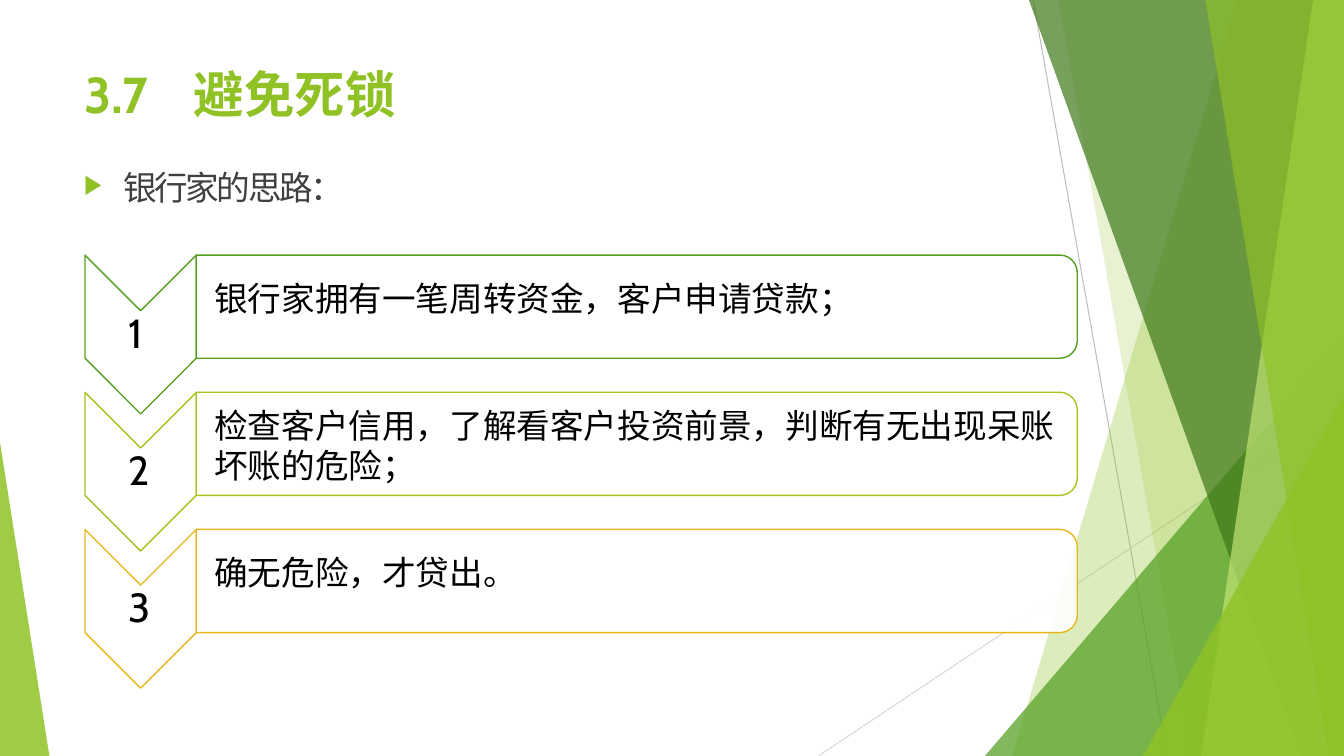
import pptx
import pptx.dml.color
import pptx.enum.shapes
import pptx.enum.text
import pptx.oxml
import pptx.oxml.ns
import pptx.util

Pt = pptx.util.Pt
qn = pptx.oxml.ns.qn
SHAPES = pptx.enum.shapes.MSO_SHAPE

WIDTH, HEIGHT = 960, 540
COLORS = {
    "leaf": "90C225", "green": "539F20", "forest": "3E7818", "pale": "C0E374",
    "lime": "A4C41F", "amber": "E6B81E", "silver": "BEBEBE", "mist": "D9D9D9",
    "text": "404040", "black": "000000", "white": "FFFFFF",
}
LATIN, CHINESE = "Cabin", "Noto Sans CJK SC"

# Corner points, colour, opacity in percent
FACETS = [
    ([(960, 0), (884, 0), (723, 540), (960, 540)], "leaf", 30),
    ([(960, 0), (756, 0), (851, 540), (960, 540)], "leaf", 20),
    ([(960, 240), (703.5, 540), (960, 540)], "green", 72),
    ([(960, 0), (735, 0), (929.5, 540), (960, 540)], "forest", 70),
    ([(960, 0), (938, 0), (858, 540), (960, 540)], "pale", 70),
    ([(960, 0), (861, 0), (949, 540), (960, 540)], "leaf", 65),
    ([(960, 283), (816.5, 540), (960, 540)], "leaf", 80),
    ([(0, 316), (0, 540), (35.3, 540)], "leaf", 85),
]
RAYS = [((738, 0), (833.8, 540), "silver"), ((960, 290), (584.6, 540), "mist")]

# Text, outline colour, text offset from the row's top, exact line spacing
STEPS = [
    ("银行家拥有一笔周转资金，客户申请贷款；", "green", 16, None),
    ("检查客户信用，了解看客户投资前景，判断有无出现呆账 坏账的危险；", "lime", 10, 28.1),
    ("确无危险，才贷出。", "amber", 16, None),
]
STEP_TOP, STEP_PITCH, STEP_HEIGHT = 182.2, 98, 73.7
ARROW_LEFT, ARROW_WIDTH, ARROW_HEIGHT = 60.7, 79.5, 113.4
PANEL_LEFT, PANEL_WIDTH = 140.2, 629.3


def rgb(name):
    return pptx.dml.color.RGBColor.from_string(COLORS[name])


def add_xml(parent, tag, **attributes):
    child = parent.makeelement(qn(tag), attributes)
    parent.append(child)
    return child


class SlideBuilder:
    def __init__(self, presentation):
        self.slide = presentation.slides.add_slide(presentation.slide_layouts[5])
        self.shapes = self.slide.shapes

    def paint(self, shape, fill=None, opacity=100, line=None):
        shape.shadow.inherit = False
        if fill:
            shape.fill.solid()
            shape.fill.fore_color.rgb = rgb(fill)
            color = shape._element.spPr.find(qn("a:solidFill"))[0]
            add_xml(color, "a:alpha", val=str(opacity * 1000))
        else:
            shape.fill.background()
        if line:
            shape.line.color.rgb = rgb(line)
            shape.line.width = Pt(1)
        else:
            shape.line.fill.background()

    def polygon(self, points, fill, opacity):
        corners = [(Pt(x), Pt(y)) for x, y in points]
        builder = self.shapes.build_freeform(*corners[0], scale=1.0)
        builder.add_line_segments(corners[1:], close=True)
        self.paint(builder.convert_to_shape(), fill, opacity)

    def ray(self, start, end, color):
        connector = self.shapes.add_connector(
            pptx.enum.shapes.MSO_CONNECTOR.STRAIGHT, *[Pt(v) for v in start + end])
        connector.line.color.rgb = rgb(color)
        connector.line.width = Pt(0.75)
        add_xml(connector._element.spPr, "a:effectLst")

    def turned(self, kind, left, top, width, height, adjustments, **style):
        """Add a preset turned a quarter clockwise; the box is the one seen after turning."""
        shape = self.shapes.add_shape(
            kind, Pt(left + (width - height) / 2), Pt(top + (height - width) / 2),
            Pt(height), Pt(width))
        shape.rotation = 90
        for index, value in enumerate(adjustments):
            shape.adjustments[index] = value
        self.paint(shape, **style)

    def frame(self, shape, left, top, width, height):
        """Place a text shape, clear its margins and return its first paragraph."""
        shape.left, shape.top, shape.width, shape.height = [
            Pt(v) for v in (left, top, width, height)]
        text_frame = shape.text_frame
        text_frame.margin_left = text_frame.margin_right = 0
        text_frame.margin_top = text_frame.margin_bottom = 0
        text_frame.word_wrap = True
        text_frame.auto_size = pptx.enum.text.MSO_AUTO_SIZE.NONE
        text_frame.vertical_anchor = pptx.enum.text.MSO_ANCHOR.TOP
        paragraph = text_frame.paragraphs[0]
        paragraph.alignment = pptx.enum.text.PP_ALIGN.LEFT
        paragraph.space_before = Pt(0)
        return paragraph

    def text_box(self, left, top, width, height):
        box = self.shapes.add_textbox(0, 0, Pt(width), Pt(height))
        return self.frame(box, left, top, width, height)

    def run(self, paragraph, text, size, font, color, bold=False, spacing=0):
        run = paragraph.add_run()
        run.text = text
        run.font.size = Pt(size)
        run.font.bold = bold
        run.font.color.rgb = rgb(color)
        run.font.name = font
        properties = run._r.get_or_add_rPr()
        add_xml(properties, "a:ea", typeface=font)
        if spacing:
            properties.set("spc", str(round(spacing * 100)))

    def title(self, number, text):
        paragraph = self.frame(self.shapes.title, 60, 45, 600, 53)
        tabs = add_xml(paragraph._p.get_or_add_pPr(), "a:tabLst")
        add_xml(tabs, "a:tab", pos=str(Pt(78.5)), algn="l")
        self.run(paragraph, number + "\t", 36, LATIN, "leaf", bold=True)
        self.run(paragraph, text, 36, CHINESE, "leaf", bold=True, spacing=0.1)

    def bullet(self, text):
        paragraph = self.text_box(60, 119, 300, 35)
        properties = paragraph._p.get_or_add_pPr()
        properties.set("marL", str(Pt(28)))
        properties.set("indent", str(-Pt(28)))
        color = add_xml(properties, "a:buClr")
        add_xml(color, "a:srgbClr", val=COLORS["leaf"])
        add_xml(properties, "a:buSzPct", val="80000")
        add_xml(properties, "a:buFont", typeface="Courier New")
        add_xml(properties, "a:buChar", char="▶")
        self.run(paragraph, text, 24, CHINESE, "text", spacing=-1.7)

    def step(self, index, text, color, text_offset, line_spacing):
        top = STEP_TOP + index * STEP_PITCH
        self.turned(SHAPES.CHEVRON, ARROW_LEFT, top, ARROW_WIDTH, ARROW_HEIGHT,
                    [0.5], line=color)
        self.turned(SHAPES.ROUND_2_SAME_RECTANGLE, PANEL_LEFT, top, PANEL_WIDTH,
                    STEP_HEIGHT, [0.17, 0], fill="white", opacity=90, line=color)
        number = self.text_box(92, top + 37.5, 17, 36)
        self.run(number, str(index + 1), 29, LATIN, "black")
        paragraph = self.text_box(153, top + text_offset, 603, 57)
        if line_spacing:
            paragraph.line_spacing = Pt(line_spacing)
        self.run(paragraph, text, 24, CHINESE, "black")


def main():
    presentation = pptx.Presentation()
    presentation.slide_width, presentation.slide_height = Pt(WIDTH), Pt(HEIGHT)
    builder = SlideBuilder(presentation)
    for ray in RAYS:
        builder.ray(*ray)
    for facet in FACETS:
        builder.polygon(*facet)
    builder.title("3.7", "避免死锁")
    builder.bullet("银行家的思路：")
    for index, step in enumerate(STEPS):
        builder.step(index, *step)
    presentation.save("out.pptx")


if __name__ == "__main__":
    main()
